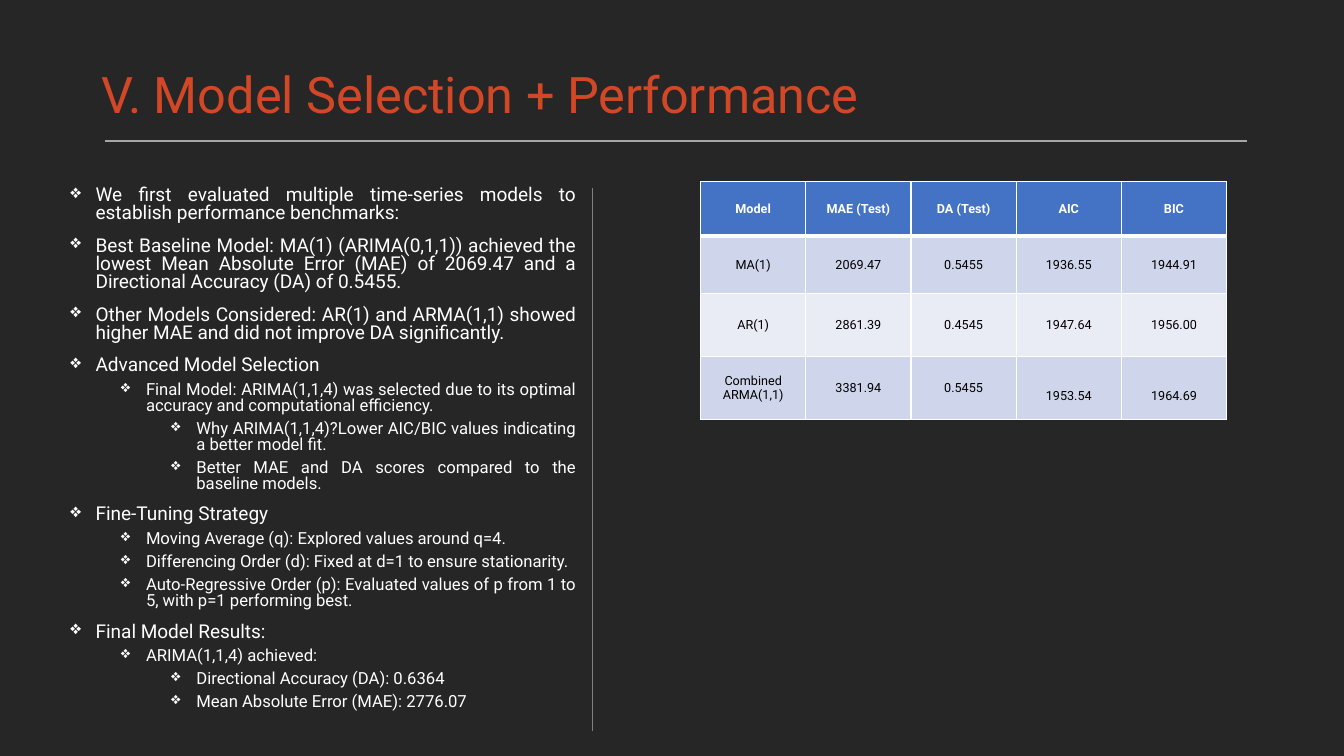
from lxml import etree
from pptx import Presentation
from pptx import util as u
from pptx.dml.color import RGBColor
from pptx.enum import shapes, text
from pptx.oxml import ns

Pt = u.Pt
FONT = "Roboto"
WHITE = "FFFFFF"

POINTS = [
    (0, "We first evaluated multiple time-series models to establish performance benchmarks:"),
    (0, "Best Baseline Model: MA(1) (ARIMA(0,1,1)) achieved the lowest Mean Absolute Error (MAE) of 2069.47 and a Directional Accuracy (DA) of 0.5455."),
    (0, "Other Models Considered: AR(1) and ARMA(1,1) showed higher MAE and did not improve DA significantly."),
    (0, "Advanced Model Selection"),
    (1, "Final Model: ARIMA(1,1,4) was selected due to its optimal accuracy and computational efficiency."),
    (2, "Why ARIMA(1,1,4)?Lower AIC/BIC values indicating a better model fit."),
    (2, "Better MAE and DA scores compared to the baseline models."),
    (0, "Fine-Tuning Strategy"),
    (1, "Moving Average (q): Explored values around q=4."),
    (1, "Differencing Order (d): Fixed at d=1 to ensure stationarity."),
    (1, "Auto-Regressive Order (p): Evaluated values of p from 1 to 5, with p=1 performing best."),
    (0, "Final Model Results:"),
    (1, "ARIMA(1,1,4) achieved:"),
    (2, "Directional Accuracy (DA): 0.6364"),
    (2, "Mean Absolute Error (MAE): 2776.07"),
]

RESULTS = [
    ("Model", "MAE (Test)", "DA (Test)", "AIC", "BIC"),
    ("MA(1)", "2069.47", "0.5455", "1936.55", "1944.91"),
    ("AR(1)", "2861.39", "0.4545", "1947.64", "1956.00"),
    ("Combined ARMA(1,1)", "3381.94", "0.5455", "1953.54", "1964.69"),
]
ROW_HEIGHTS = (39, 41, 45, 45)
ROW_FILLS = ("4472C4", "CFD5EA", "E9EBF5", "CFD5EA")


def color(value):
    return RGBColor.from_string(value)


def add_run(paragraph, words, size, ink, bold=False):
    run = paragraph.add_run()
    run.text = words
    run.font.name = FONT
    run.font.size = Pt(size)
    run.font.bold = bold
    run.font.color.rgb = color(ink)


def add_text_frame(slide, left, top, width, height):
    frame = slide.shapes.add_textbox(Pt(left), Pt(top), Pt(width), Pt(height)).text_frame
    frame.word_wrap = True
    return frame


def add_title(slide, words):
    frame = add_text_frame(slide, 65.5, 36.7, 828, 64.8)
    frame.vertical_anchor = text.MSO_ANCHOR.MIDDLE
    heading = frame.paragraphs[0]
    heading.line_spacing = 0.9
    add_run(heading, words, 36, "D24726")


def add_rule(slide, x1, y1, x2, y2, ink, weight):
    rule = slide.shapes.add_connector(
        shapes.MSO_CONNECTOR.STRAIGHT, Pt(x1), Pt(y1), Pt(x2), Pt(y2))
    rule.line.color.rgb = color(ink)
    rule.line.width = Pt(weight)
    etree.SubElement(rule._element.spPr, ns.qn("a:effectLst"))


def add_points(slide, points):
    frame = add_text_frame(slide, 43.2, 130, 375.1, 392)
    for index, (level, words) in enumerate(points):
        point = frame.paragraphs[0] if index == 0 else frame.add_paragraph()
        properties = point._p.get_or_add_pPr()
        properties.set("marL", str(Pt(18 + 36 * level)))
        properties.set("indent", str(Pt(-18)))
        etree.SubElement(properties, ns.qn("a:buChar"), char="❖")
        point.level = level
        point.alignment = text.PP_ALIGN.JUSTIFY
        point.line_spacing = 0.8
        if index:
            point.space_before = Pt(5 if level else 10)
        add_run(point, words, 11.9 if level else 13.6, WHITE)


def add_border(cell, side, weight):
    edge = etree.SubElement(
        cell._tc.get_or_add_tcPr(), ns.qn("a:ln" + side), w=str(Pt(weight)))
    fill = etree.SubElement(edge, ns.qn("a:solidFill"))
    etree.SubElement(fill, ns.qn("a:srgbClr"), val=WHITE)


def fill_cell(cell, words, row, lowered):
    header = row == 0
    borders = {"L": 1, "R": 1, "T": 3 if row == 1 else 1, "B": 3 if header else 1}
    for side, weight in borders.items():
        add_border(cell, side, weight)
    cell.fill.solid()
    cell.fill.fore_color.rgb = color(ROW_FILLS[row])
    cell.vertical_anchor = text.MSO_ANCHOR.MIDDLE
    cell.margin_left = cell.margin_right = cell.margin_bottom = Pt(5)
    cell.margin_top = Pt(16.5 if lowered else 5)
    entry = cell.text_frame.paragraphs[0]
    entry.alignment = text.PP_ALIGN.CENTER
    add_run(entry, words, 9, WHITE if header else "000000", header)


def add_results(slide, results):
    last = len(results) - 1
    table = slide.shapes.add_table(
        len(results), len(results[0]), Pt(500.4), Pt(129.8),
        Pt(375.8), Pt(sum(ROW_HEIGHTS))).table
    for column in table.columns:
        column.width = Pt(375.8 / len(results[0]))
    for row, entries in enumerate(results):
        table.rows[row].height = Pt(ROW_HEIGHTS[row])
        for col, words in enumerate(entries):
            fill_cell(table.cell(row, col), words, row, row == last and col >= 3)


def main():
    deck = Presentation()
    deck.slide_width = Pt(960)
    deck.slide_height = Pt(540)
    slide = deck.slides.add_slide(deck.slide_layouts[6])
    slide.background.fill.solid()
    slide.background.fill.fore_color.rgb = color("262626")
    add_rule(slide, 75, 100.8, 891, 100.8, "A6A6A6", 1)
    add_title(slide, "V. Model Selection + Performance")
    add_rule(slide, 423.4, 134.6, 423.4, 522, "808080", 0.5)
    add_points(slide, POINTS)
    add_results(slide, RESULTS)
    deck.save("out.pptx")


if __name__ == "__main__":
    main()
